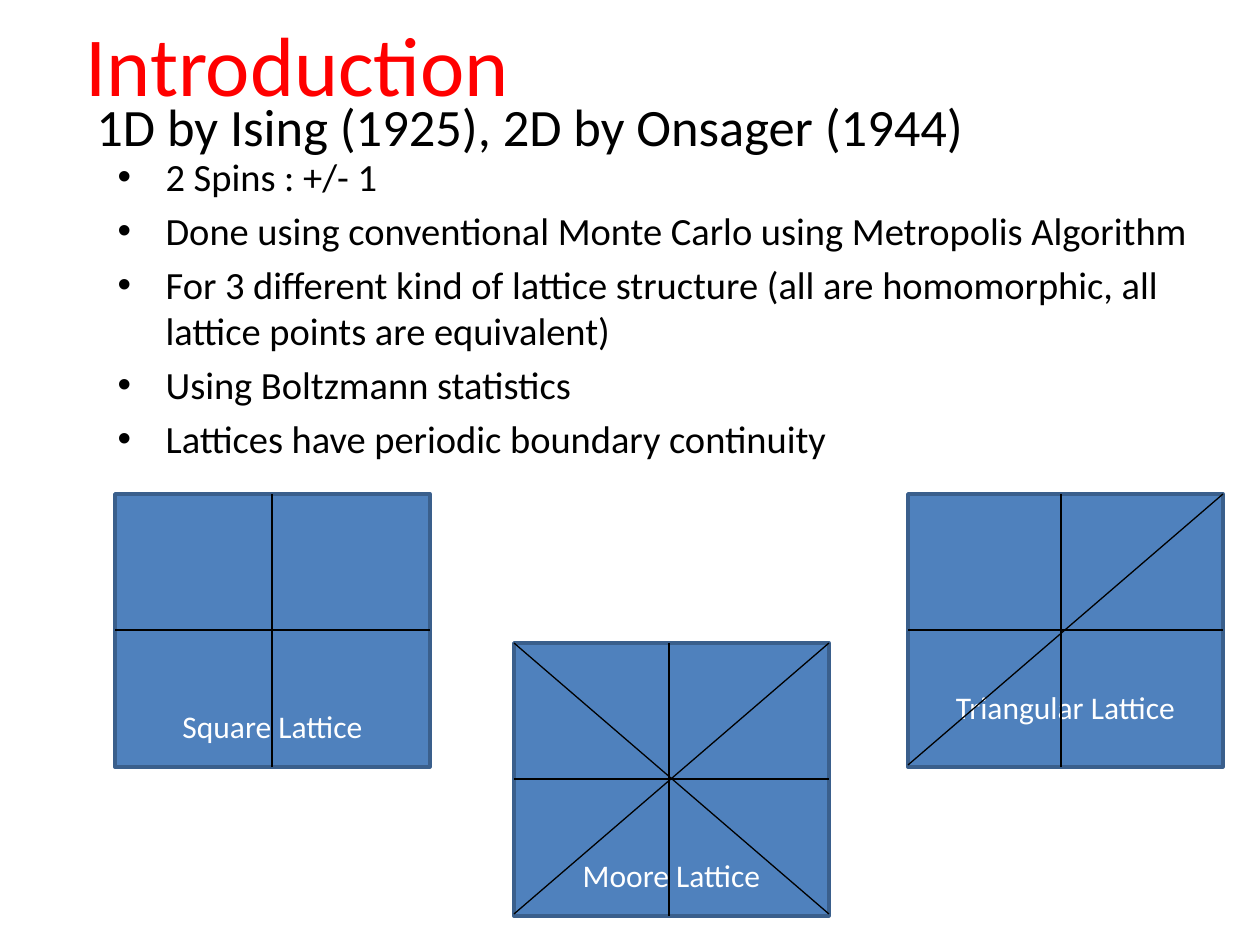
"""Build the introduction slide on the Ising model and its three lattices."""
from dataclasses import dataclass

import pptx
import pptx.dml.color
import pptx.enum.shapes
import pptx.enum.text
import pptx.oxml.ns
import pptx.util
from lxml import etree

EMU_PER_PIXEL = 914400 / 126
CELL_WIDTH, CELL_HEIGHT = 315, 273
MIDDLE_ROW, DIAGONAL_DROP = 136, 271
FONT = "Calibri"
COLORS = {"title": "FF0000", "text": "000000", "label": "FFFFFF",
          "fill": "4F81BD", "border": "3A5F8C", "line": "000000"}
ANCHOR = pptx.enum.text.MSO_ANCHOR
ALIGN = pptx.enum.text.PP_ALIGN
BULLETS = [
    "2 Spins : +/- 1",
    "Done using conventional Monte Carlo using Metropolis Algorithm",
    "For 3 different kind of lattice structure (all are homomorphic, "
    "all lattice points are equivalent)",
    "Using Boltzmann statistics",
    "Lattices have periodic boundary continuity",
]


@dataclass
class Lattice:
    """A lattice cell with its caption and inner lines."""
    label: str
    left: int
    top: int
    middle_column: int
    label_margin: int
    rising: bool = False
    falling: bool = False


LATTICES = [
    Lattice("Square Lattice", 115, 494, 157, 22),
    Lattice("Triangular Lattice", 908, 494, 153, 41, rising=True),
    Lattice("Moore Lattice", 514, 643, 155, 22, rising=True, falling=True),
]


def px(pixels: int) -> pptx.util.Emu:
    """Turn pixels into EMU."""
    return pptx.util.Emu(round(pixels * EMU_PER_PIXEL))


def rgb(name: str) -> pptx.dml.color.RGBColor:
    """Look up a named colour."""
    return pptx.dml.color.RGBColor.from_string(COLORS[name])


def place(shape, left: int, top: int, width: int, height: int) -> None:
    """Move and size a shape."""
    shape.left, shape.top = px(left), px(top)
    shape.width, shape.height = px(width), px(height)


def write(shape, lines: list[str], size: int, color: str, align, anchor) -> None:
    """Fill a shape with formatted paragraphs."""
    frame = shape.text_frame
    frame.text = "\n".join(lines)
    frame.word_wrap = True
    frame.auto_size = pptx.enum.text.MSO_AUTO_SIZE.NONE
    frame.vertical_anchor = anchor
    for paragraph in frame.paragraphs:
        paragraph.alignment = align
        paragraph.font.name = FONT
        paragraph.font.size = pptx.util.Pt(size)
        paragraph.font.color.rgb = rgb(color)


def add_line(slide, start: tuple[int, int], end: tuple[int, int]) -> None:
    """Draw a thin straight line without a shadow."""
    line = slide.shapes.add_connector(
        pptx.enum.shapes.MSO_CONNECTOR.STRAIGHT,
        px(start[0]), px(start[1]), px(end[0]), px(end[1]))
    line.line.color.rgb = rgb("line")
    line.line.width = pptx.util.Pt(0.75)
    properties = line._element.find(pptx.oxml.ns.qn("p:spPr"))
    etree.SubElement(properties, pptx.oxml.ns.qn("a:effectLst"))


def add_lattice(slide, lattice: Lattice) -> None:
    """Draw one lattice cell with its lines."""
    left, top = lattice.left, lattice.top
    right, bottom = left + CELL_WIDTH, top + CELL_HEIGHT
    box = slide.shapes.add_shape(pptx.enum.shapes.MSO_SHAPE.RECTANGLE, 0, 0, 0, 0)
    place(box, left, top, CELL_WIDTH, CELL_HEIGHT)
    box.shadow.inherit = False
    box.fill.solid()
    box.fill.fore_color.rgb = rgb("fill")
    box.line.color.rgb = rgb("border")
    box.line.width = pptx.util.Pt(2)
    write(box, [lattice.label], 18, "label", ALIGN.CENTER, ANCHOR.BOTTOM)
    box.text_frame.margin_bottom = px(lattice.label_margin)

    column, row = left + lattice.middle_column, top + MIDDLE_ROW
    add_line(slide, (column, top), (column, bottom))
    add_line(slide, (left, row), (right, row))
    if lattice.rising:
        add_line(slide, (right, top), (left, top + DIAGONAL_DROP))
    if lattice.falling:
        add_line(slide, (left, top), (right, top + DIAGONAL_DROP))


def build() -> None:
    """Build and save the deck."""
    deck = pptx.Presentation()
    deck.slide_width, deck.slide_height = px(1260), px(945)
    slide = deck.slides.add_slide(deck.slide_layouts[1])

    title = slide.shapes.title
    place(title, 73, 0, 1134, 136)
    write(title, ["Introduction"], 48, "title", ALIGN.LEFT, ANCHOR.MIDDLE)
    title.text_frame.margin_bottom = px(16)

    subtitle = slide.shapes.add_textbox(0, 0, 0, 0)
    place(subtitle, 84, 84, 1176, 77)
    write(subtitle, ["1D by Ising (1925), 2D by Onsager (1944)"], 30, "text",
          ALIGN.LEFT, ANCHOR.TOP)
    subtitle.text_frame.margin_top = px(10)

    body = slide.placeholders[1]
    place(body, 105, 147, 1124, 325)
    write(body, BULLETS, 22, "text", ALIGN.LEFT, ANCHOR.TOP)
    for paragraph in body.text_frame.paragraphs:
        properties = paragraph._p.get_or_add_pPr()
        properties.set("marL", str(px(48)))
        properties.set("indent", str(px(-48)))

    for lattice in LATTICES:
        add_lattice(slide, lattice)
    deck.save("out.pptx")


build()
